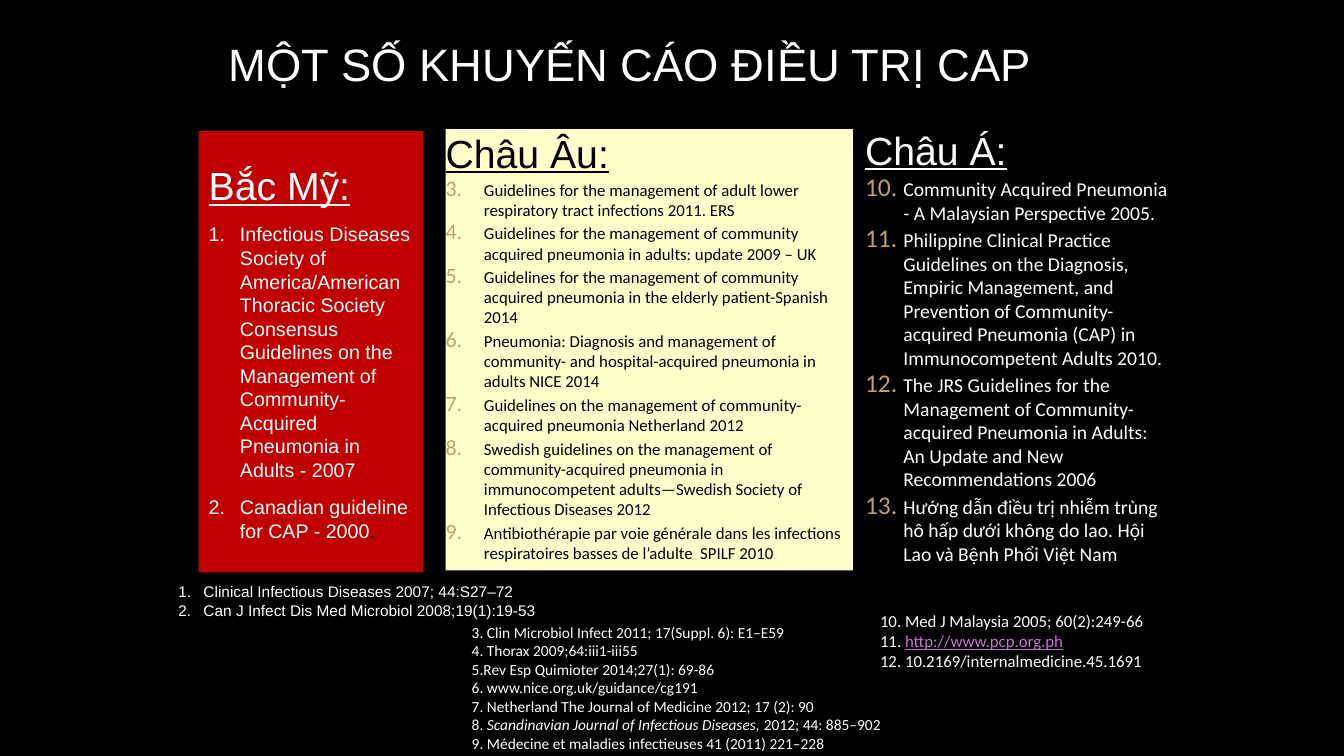
from dataclasses import dataclass
from typing import Optional

from lxml import etree
from pptx import Presentation
from pptx.dml.color import RGBColor
from pptx.enum.shapes import MSO_SHAPE
from pptx.enum.text import MSO_ANCHOR, MSO_AUTO_SIZE, PP_ALIGN
from pptx.oxml.ns import qn
from pptx.util import Inches, Pt

RECTANGLE = MSO_SHAPE.RECTANGLE
TOP, MIDDLE = MSO_ANCHOR.TOP, MSO_ANCHOR.MIDDLE
LEFT = PP_ALIGN.LEFT
NO_AUTOFIT = MSO_AUTO_SIZE.NONE


@dataclass(frozen=True)
class Theme:
    black: str = "000000"
    white: str = "FFFFFF"
    red: str = "C00000"
    cream: str = "FFFFCC"
    gold: str = "BCA36A"
    link: str = "C573D2"
    sans: str = "Arial"
    humanist: str = "Calibri"
    title_size: float = 32.4
    heading_size: float = 28
    large_size: float = 14
    medium_size: float = 12
    small_size: float = 11


THEME = Theme()


@dataclass(frozen=True)
class Span:
    text: str
    color: Optional[str] = None
    italic: bool = False
    underline: bool = False


@dataclass(frozen=True)
class Numbering:
    start: int
    indent: float
    color: str
    percent: int = 100


@dataclass(frozen=True)
class Block:
    box: tuple[float, float, float, float]
    items: list
    size: float
    font: str
    color: str = THEME.white
    heading: str = ""
    fill: Optional[str] = None
    numbering: Optional[Numbering] = None
    before: float = 0
    after: float = 0
    margin: Optional[float] = None
    anchor: MSO_ANCHOR = TOP


NORTH_AMERICA = Block(
    (1.97, 1.3, 2.23, 4.38),
    [
        "Infectious Diseases Society of America/American Thoracic Society Consensus "
        "Guidelines on the Management of Community-Acquired Pneumonia in Adults - 2007",
        [Span("Canadian guideline for CAP - 2000"), Span(".", THEME.black)],
    ],
    THEME.large_size, THEME.sans, heading="Bắc Mỹ:", fill=THEME.red,
    numbering=Numbering(1, 0.31, THEME.white), after=10, anchor=MIDDLE,
)

REGIONS = [
    Block(
        (4.42, 1.28, 4.04, 4.38),
        [
            "Guidelines for the management of adult lower respiratory tract infections 2011. ERS",
            "Guidelines for the management of community acquired pneumonia in adults: update 2009 – UK",
            "Guidelines for the management of community acquired pneumonia in the elderly patient-Spanish 2014",
            "Pneumonia: Diagnosis and management of community- and hospital-acquired pneumonia in adults NICE 2014",
            "Guidelines on the management of community-acquired pneumonia Netherland 2012",
            "Swedish guidelines on the management of community-acquired pneumonia in immunocompetent "
            "adults—Swedish Society of Infectious Diseases 2012",
            "Antibiothérapie par voie générale dans les infections respiratoires basses de l’adulte  SPILF 2010",
        ],
        THEME.medium_size, THEME.humanist, THEME.black, "Châu Âu:", THEME.cream,
        Numbering(3, 0.38, THEME.gold, 130), before=2.4, margin=0,
    ),
    Block(
        (8.58, 1.25, 3.01, 4.57),
        [
            "Community Acquired Pneumonia - A Malaysian Perspective 2005.",
            "Philippine Clinical Practice Guidelines on the Diagnosis, Empiric Management, and Prevention "
            "of Community-acquired Pneumonia (CAP) in Immunocompetent Adults 2010.",
            "The JRS Guidelines for the Management of Community-acquired Pneumonia in Adults: "
            "An Update and New Recommendations 2006",
            "Hướng dẫn điều trị nhiễm trùng hô hấp dưới không do lao. Hội Lao và Bệnh Phổi Việt Nam",
        ],
        THEME.large_size, THEME.humanist, heading="Châu Á:", fill=THEME.black,
        numbering=Numbering(10, 0.38, THEME.gold, 130), before=2.8, margin=0,
    ),
]

REFERENCES = [
    Block(
        (1.67, 5.73, 3.77, 0.47),
        [
            "Clinical Infectious Diseases 2007; 44:S27–72",
            "Can J Infect Dis Med Microbiol 2008;19(1):19-53",
        ],
        THEME.small_size, THEME.sans, numbering=Numbering(1, 0.25, THEME.white),
    ),
    Block(
        (4.58, 6.13, 4.41, 1.58),
        [
            "3. Clin Microbiol Infect 2011; 17(Suppl. 6): E1–E59",
            "4. Thorax 2009;64:iii1-iii55",
            "5.Rev Esp Quimioter 2014;27(1): 69-86",
            "6. www.nice.org.uk/guidance/cg191",
            "7. Netherland The Journal of Medicine 2012; 17 (2): 90",
            [
                Span("8. "),
                Span("Scandinavian Journal of Infectious Diseases, ", italic=True),
                Span("2012; 44: 885–902"),
            ],
            "9. Médecine et maladies infectieuses 41 (2011) 221–228",
        ],
        THEME.small_size, THEME.humanist,
    ),
    Block(
        (8.63, 6.01, 2.87, 0.91),
        [
            "10. Med J Malaysia 2005; 60(2):249-66",
            [Span("11. "), Span("http://www.pcp.org.ph", THEME.link, underline=True)],
            "12. 10.2169/internalmedicine.45.1691",
        ],
        THEME.medium_size, THEME.humanist,
    ),
]


def add_text(paragraph, text: str, *, size: float, font: str, color: str,
             italic: bool = False, underline: bool = False) -> None:
    run = paragraph.add_run()
    run.text = text
    run.font.size = Pt(size)
    run.font.name = font
    run.font.color.rgb = RGBColor.from_string(color)
    run.font.italic = italic
    run.font.underline = underline


def set_numbering(paragraph, numbering: Optional[Numbering]) -> None:
    properties = paragraph._p.get_or_add_pPr()
    indent = Inches(numbering.indent) if numbering else 0
    properties.set("marL", str(indent))
    properties.set("indent", str(-indent))
    if numbering is None:
        etree.SubElement(properties, qn("a:buNone"))
        return
    color = etree.SubElement(properties, qn("a:buClr"))
    etree.SubElement(color, qn("a:srgbClr"), val=numbering.color)
    etree.SubElement(properties, qn("a:buSzPct"), val=str(numbering.percent * 1000))
    etree.SubElement(properties, qn("a:buAutoNum"), type="arabicPeriod",
                     startAt=str(numbering.start))


def place(shape, box: tuple[float, float, float, float]) -> None:
    shape.left, shape.top, shape.width, shape.height = map(Inches, box)


def fill_block(shape, block: Block) -> None:
    place(shape, block.box)
    if block.fill:
        shape.fill.solid()
        shape.fill.fore_color.rgb = RGBColor.from_string(block.fill)
        shape.line.fill.background()
    frame = shape.text_frame
    frame.word_wrap = True
    frame.auto_size = NO_AUTOFIT
    frame.vertical_anchor = block.anchor
    if block.margin is not None:
        frame.margin_left = frame.margin_right = Inches(block.margin)
        frame.margin_top = frame.margin_bottom = Inches(block.margin)
    entries = ([block.heading] if block.heading else []) + block.items
    for position, entry in enumerate(entries):
        paragraph = frame.add_paragraph() if position else frame.paragraphs[0]
        is_heading = bool(block.heading) and position == 0
        set_numbering(paragraph, None if is_heading else block.numbering)
        paragraph.alignment = LEFT
        paragraph.space_before = Pt(block.before if position else 0)
        paragraph.space_after = Pt(block.after)
        for span in [Span(entry)] if isinstance(entry, str) else entry:
            add_text(paragraph, span.text,
                     size=THEME.heading_size if is_heading else block.size,
                     font=THEME.sans if is_heading else block.font,
                     color=span.color or block.color, italic=span.italic,
                     underline=is_heading or span.underline)


def main() -> None:
    deck = Presentation()
    deck.slide_width, deck.slide_height = Inches(13.33), Inches(7.5)
    slide = deck.slides.add_slide(deck.slide_layouts[1])
    slide.background.fill.solid()
    slide.background.fill.fore_color.rgb = RGBColor.from_string(THEME.black)
    title, north_america = slide.placeholders
    fill_block(title, Block((2.17, 0, 9, 1.25), ["MỘT SỐ KHUYẾN CÁO ĐIỀU TRỊ CAP"],
                            THEME.title_size, THEME.sans, anchor=MIDDLE))
    fill_block(north_america, NORTH_AMERICA)
    for region in REGIONS:
        panel = slide.shapes.add_shape(RECTANGLE, *map(Inches, region.box))
        panel.shadow.inherit = False
        fill_block(panel, region)
    for reference in REFERENCES:
        fill_block(slide.shapes.add_textbox(*map(Inches, reference.box)), reference)
    deck.save("out.pptx")


if __name__ == "__main__":
    main()
